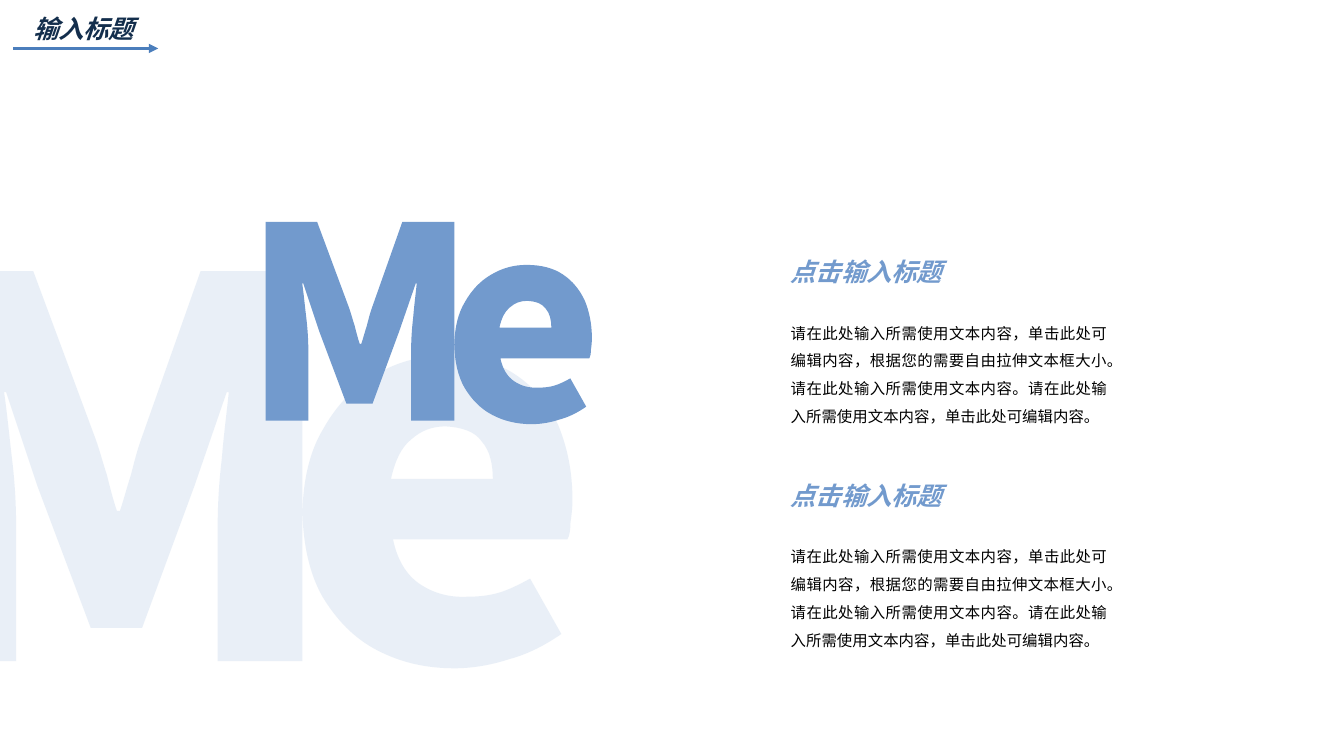
from dataclasses import dataclass
from pptx import Presentation
from pptx.dml.color import RGBColor
from pptx.enum.shapes import MSO_CONNECTOR
from pptx.enum.text import MSO_ANCHOR, MSO_AUTO_SIZE, PP_ALIGN
from pptx.oxml.ns import qn
from pptx.util import Pt

LEFT, JUSTIFY = PP_ALIGN.LEFT, PP_ALIGN.JUSTIFY
TOP = MSO_ANCHOR.TOP
GROW = MSO_AUTO_SIZE.SHAPE_TO_FIT_TEXT
STRAIGHT = MSO_CONNECTOR.STRAIGHT
TWO_LISTS = 3


@dataclass(frozen=True)
class Theme:
    font: str = "Calibri"
    navy: str = "132E4C"
    line: str = "4B7EBC"
    blue: str = "729ACD"
    black: str = "000000"
    head: float = 18
    body: float = 11


@dataclass(frozen=True)
class Box:
    left: float
    top: float
    width: float
    height: float


@dataclass(frozen=True)
class Mark:
    """One "Me" sign; size is the height of its M, alpha is in percent."""
    left: float
    top: float
    size: float
    alpha: int


THEME = Theme()
HEAD = "点击输入标题"
BODY = (
    "请在此处输入所需使用文本内容，单击此处可编辑内容，根据您的需要自由拉伸文本框大小。"
    "请在此处输入所需使用文本内容。请在此处输入所需使用文本内容，单击此处可编辑内容。"
)
TITLE = Box(16.6, 5.8, 96.5, 28.8)
PANELS = [Box(557.6, top, 240.5, 139.7) for top in (168.9, 328.6)]
MARKS = [Mark(-48.2, 193.7, 278.6, 15), Mark(189.8, 158.4, 142, 100)]

# Contours on a grid where the M is 387 high: pairs are corners,
# sixes are curves with two control points and an end.
UNIT = 387
LETTER_M = [[
    (0, 0), (100, 0), (162, 167), (166, 178, 169, 190, 173, 202),
    (176, 214, 179, 226, 183, 238), (186, 238),
    (190, 226, 193, 214, 197, 202), (200, 190, 203, 178, 207, 167),
    (266, 0), (367, 0), (367, 387), (283, 387), (283, 254),
    (283, 234, 284, 212, 287, 187), (289, 162, 292, 140, 294, 120),
    (292, 120), (260, 213), (208, 354), (157, 354), (104, 213),
    (73, 120), (71, 120), (74, 140, 76, 162, 79, 187),
    (82, 212, 83, 234, 83, 254), (83, 387), (0, 387), (0, 0),
]]
LETTER_E = [
    [
        (508, 84), (536, 84, 560, 90, 579, 103),
        (597, 115, 611, 132, 621, 153), (630, 175, 635, 199, 635, 227),
        (635, 235, 634, 243, 633, 250), (633, 257, 632, 263, 630, 266),
        (457, 266), (461, 286, 470, 301, 483, 310),
        (496, 319, 512, 324, 531, 323), (541, 323, 552, 322, 562, 319),
        (572, 316, 582, 311, 593, 305), (624, 360),
        (608, 371, 591, 380, 572, 385), (554, 391, 535, 394, 518, 394),
        (489, 394, 464, 388, 441, 376), (418, 364, 401, 346, 387, 323),
        (374, 300, 368, 272, 367, 239), (368, 207, 374, 179, 388, 156),
        (401, 133, 418, 115, 439, 103), (461, 90, 483, 84, 508, 84),
    ],
    [
        (509, 154), (496, 154, 485, 158, 475, 167),
        (465, 175, 459, 188, 455, 206), (556, 206),
        (556, 191, 553, 178, 545, 169), (538, 159, 526, 155, 509, 154),
    ],
]


def bend(letter, contours: list) -> None:
    """Give the straight sides that stand for curves their control points."""
    parts = [part for contour in contours for part in contour]
    low_x = min(part[-2] for part in parts)
    low_y = min(part[-1] for part in parts)
    sides = [part for contour in contours for part in contour[1:]]
    lines = list(letter._element.iter(qn("a:lnTo")))
    for line, side in zip(lines, sides):
        if len(side) == 2:
            continue
        curve = line.makeelement(qn("a:cubicBezTo"))
        for x, y in zip(side[::2], side[1::2]):
            curve.append(line.makeelement(
                qn("a:pt"), {"x": str(x - low_x), "y": str(y - low_y)}))
        line.getparent().replace(line, curve)


def draw_letter(shapes, contours: list, mark: Mark) -> None:
    first, *holes = [[part[-2:] for part in contour] for contour in contours]
    pen = shapes.build_freeform(*first[0], scale=Pt(mark.size) / UNIT)
    pen.add_line_segments(first[1:], close=True)
    for hole in holes:
        pen.move_to(*hole[0])
        pen.add_line_segments(hole[1:], close=True)
    letter = pen.convert_to_shape(Pt(mark.left), Pt(mark.top))
    bend(letter, contours)
    letter.shadow.inherit = False
    letter.line.fill.background()
    letter.fill.solid()
    letter.fill.fore_color.rgb = RGBColor.from_string(THEME.blue)
    if mark.alpha < 100:
        tint = letter._element.spPr.find(qn("a:solidFill"))[0]
        tint.append(tint.makeelement(
            qn("a:alpha"), {"val": str(mark.alpha * 1000)}))


def draw_mark(slide, mark: Mark) -> None:
    group = slide.shapes.add_group_shape()
    for contours in (LETTER_M, LETTER_E):
        draw_letter(group.shapes, contours, mark)


def place(holder, box: Box):
    """Move a placeholder and return its text frame, ready to fill."""
    holder.left, holder.top = Pt(box.left), Pt(box.top)
    holder.width, holder.height = Pt(box.width), Pt(box.height)
    frame = holder.text_frame
    frame.word_wrap = True
    frame.auto_size = GROW
    frame.vertical_anchor = TOP
    return frame


def write(para, text: str, *, size: float, color: str, strong: bool = False,
          align=LEFT, lines: float = 1.0, before: float = 0) -> None:
    props = para._p.get_or_add_pPr()
    props.set("marL", "0")
    props.set("indent", "0")
    props.append(props.makeelement(qn("a:buNone")))
    para.alignment = align
    para.line_spacing = lines
    para.space_before = Pt(before)
    para.space_after = Pt(0)
    run = para.add_run()
    run.text = text
    font = run.font
    font.name = THEME.font
    font.size = Pt(size)
    font.bold = font.italic = strong
    font.color.rgb = RGBColor.from_string(color)


def draw_arrow(slide) -> None:
    arrow = slide.shapes.add_connector(
        STRAIGHT, Pt(9.4), Pt(34.6), Pt(113), Pt(34.6))
    arrow.line.color.rgb = RGBColor.from_string(THEME.line)
    arrow.line.width = Pt(2.25)
    props = arrow._element.spPr
    stroke = props.find(qn("a:ln"))
    stroke.append(stroke.makeelement(qn("a:tailEnd"), {"type": "triangle"}))
    props.append(props.makeelement(qn("a:effectLst")))


def main() -> None:
    deck = Presentation()
    deck.slide_width, deck.slide_height = Pt(960), Pt(540)
    slide = deck.slides.add_slide(deck.slide_layouts[TWO_LISTS])
    title, left, right, *spares = slide.placeholders
    # This layout holds a caption above each list.
    holders = [title, left, right, *spares]
    lists = holders[1:1 + len(PANELS)]
    for spare in holders[1 + len(PANELS):]:
        spare._element.getparent().remove(spare._element)

    draw_arrow(slide)
    write(place(title, TITLE).paragraphs[0], "输入标题",
          size=THEME.head, color=THEME.navy, strong=True)
    for holder, box in zip(lists, PANELS):
        frame = place(holder, box)
        write(frame.paragraphs[0], HEAD, size=THEME.head, color=THEME.blue,
              strong=True, align=JUSTIFY, lines=1.5)
        write(frame.add_paragraph(), BODY, size=THEME.body, color=THEME.black,
              align=JUSTIFY, lines=1.5, before=19.8)
    for mark in MARKS:
        draw_mark(slide, mark)
    deck.save("out.pptx")


if __name__ == "__main__":
    main()
